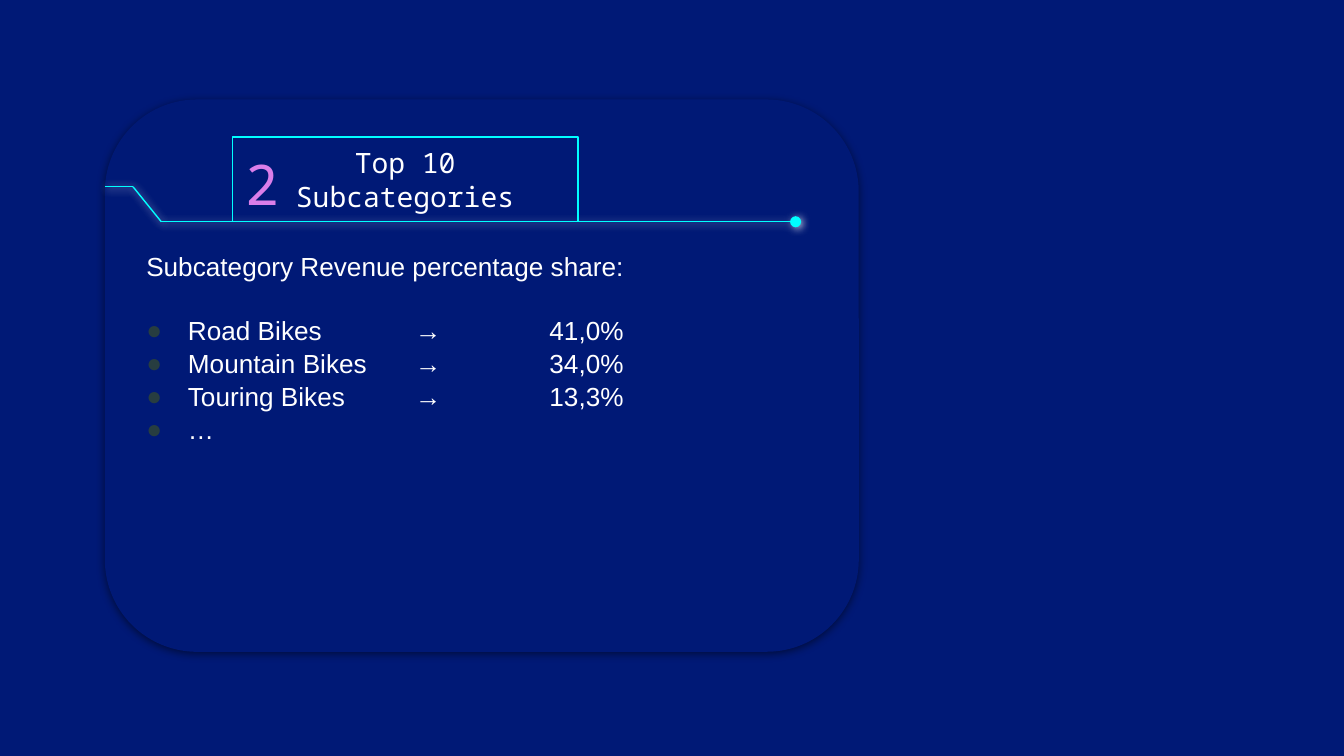
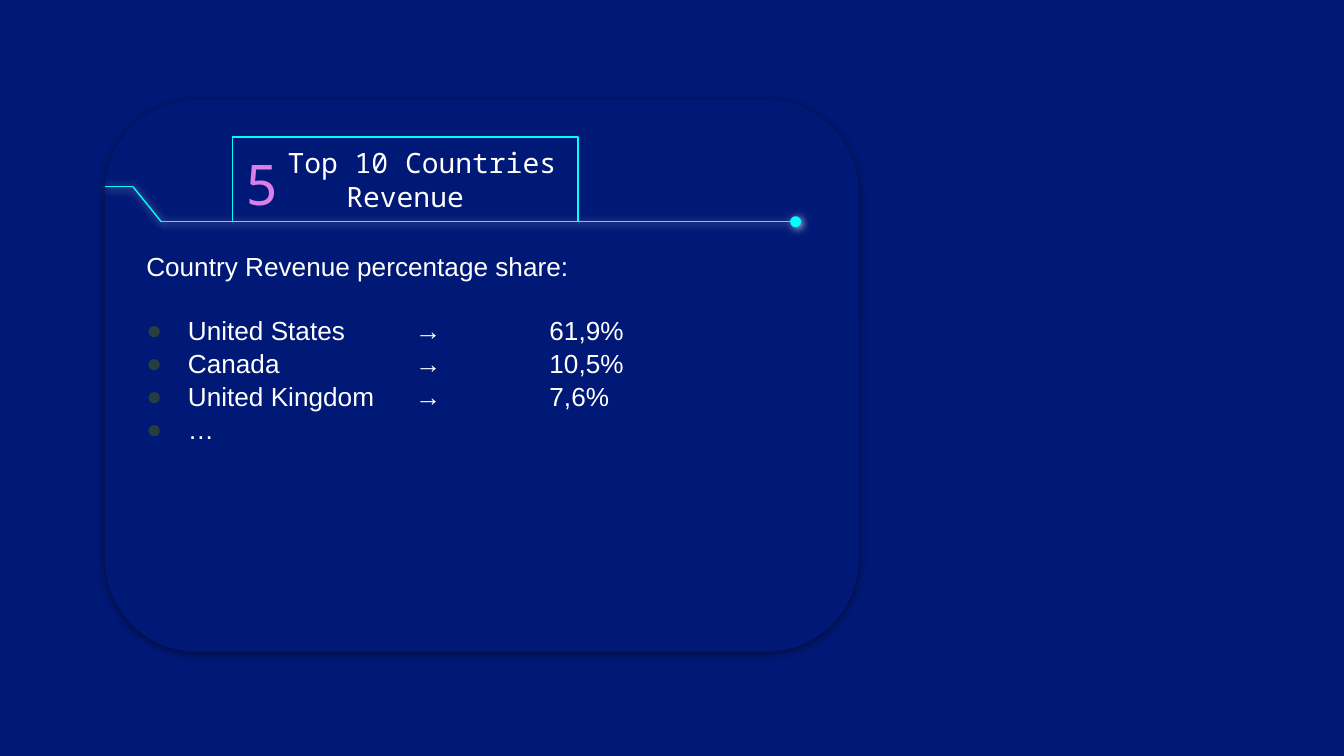
from itertools import pairwise

from lxml.etree import SubElement
from pptx import Presentation
from pptx.dml.color import RGBColor
from pptx.enum.shapes import MSO_CONNECTOR, MSO_SHAPE
from pptx.enum.text import MSO_ANCHOR, PP_ALIGN
from pptx.oxml.ns import qn
from pptx.util import Inches, Pt

NAVY = RGBColor(0x00, 0x19, 0x76)
CYAN = RGBColor(0x00, 0xFF, 0xFF)
PINK = RGBColor(0xDA, 0x7E, 0xE9)
WHITE = RGBColor(0xFF, 0xFF, 0xFF)
BLACK = RGBColor(0x00, 0x00, 0x00)
BULLET = RGBColor(0x27, 0x3D, 0x40)
BODY_FONT, TITLE_FONT = "Arial", "Noto Sans Mono"

# Grid of square cells, 100 columns across the slide
COLUMNS, ROWS = 100, 56.25
CELL = Inches(0.1)
CARD = (7.8, 7.4, 56.1, 41.1)
LINE_WIDTH = Pt(0.75)
MARGIN = Inches(0.1)
HANGING = Inches(0.31)
TAB_STOPS = (Inches(2), Inches(3))

# Number, title, first-line indent in inches, heading, shares
SLIDES = [
    ("2", "Top 10 Subcategories", 0, "Subcategory Revenue percentage share:",
     [("Road Bikes", "41,0%"), ("Mountain Bikes", "34,0%"), ("Touring Bikes", "13,3%")]),
    ("5", "Top 10 Countries Revenue", 0.25, "Country Revenue percentage share:",
     [("United States", "61,9%"), ("Canada", "10,5%"), ("United Kingdom", "7,6%")]),
]


def cells(*counts):
    return [round(count * CELL) for count in counts]


def inside(box, left, top, width, height):
    """Place a part relative to the top left corner of a box."""
    return box[0] + left, box[1] + top, width, height


def add_shadow(shape, color, opacity, blur, distance, angle):
    effects = SubElement(shape.element.spPr, qn("a:effectLst"))
    shadow = SubElement(effects, qn("a:outerShdw"), blurRad=str(Pt(blur)), dist=str(Pt(distance)),
                        dir=str(angle * 60000), algn="bl", rotWithShape="0")
    tint = SubElement(shadow, qn("a:srgbClr"), val=str(color))
    SubElement(tint, qn("a:alpha"), val=str(opacity * 1000))


def set_font(para, name, size, color):
    para.font.name, para.font.size = name, Pt(size)
    para.font.color.rgb = color


def set_margins(frame):
    frame.word_wrap = True
    frame.margin_left = frame.margin_right = MARGIN
    frame.margin_top = frame.margin_bottom = MARGIN


def add_panel(page, box, radius, fill=None, line=None):
    panel = page.shapes.add_shape(MSO_SHAPE.ROUNDED_RECTANGLE, *cells(*box))
    panel.adjustments[0] = radius
    if fill is None:
        panel.fill.background()
    else:
        panel.fill.solid()
        panel.fill.fore_color.rgb = fill
    if line is None:
        panel.line.fill.background()
    else:
        panel.line.color.rgb = line
        panel.line.width = LINE_WIDTH
    return panel


def add_label(page, box, text, size, color, line=None, indent=0):
    label = add_panel(page, box, 0, line=line)
    label.shadow.inherit = False
    frame = label.text_frame
    set_margins(frame)
    frame.vertical_anchor = MSO_ANCHOR.MIDDLE
    para = frame.paragraphs[0]
    para.text = text
    para.alignment = PP_ALIGN.CENTER
    if indent:
        para._p.get_or_add_pPr().set("indent", str(Inches(indent)))
    set_font(para, TITLE_FONT, size, color)


def add_circuit(page, box):
    """Stepped line under the title, ending in a dot."""
    group = page.shapes.add_group_shape()
    corners = [(0, 6.5), (2.1, 6.5), (4.2, 9.1), (51.4, 9.1)]
    points = [cells(box[0] + x, box[1] + y) for x, y in corners]
    for start, end in pairwise(points):
        wire = group.shapes.add_connector(MSO_CONNECTOR.STRAIGHT, *start, *end)
        wire.line.color.rgb = CYAN
        wire.line.width = LINE_WIDTH
        add_shadow(wire, WHITE, 75, 4.5, 0.8, 63)
    SubElement(wire.line._get_or_add_ln(), qn("a:tailEnd"), type="oval")


def add_bullet(para):
    props = para._p.get_or_add_pPr()
    props.set("marL", str(HANGING))
    props.set("indent", str(-HANGING))
    color = SubElement(props, qn("a:buClr"))
    SubElement(color, qn("a:srgbClr"), val=str(BULLET))
    SubElement(props, qn("a:buFont"), typeface=BODY_FONT)
    SubElement(props, qn("a:buChar"), char="●")
    stops = SubElement(props, qn("a:tabLst"))
    for stop in TAB_STOPS:
        SubElement(stops, qn("a:tab"), pos=str(stop), algn="l")


def add_shares(page, box, heading, shares):
    frame = page.shapes.add_textbox(*cells(*box)).text_frame
    set_margins(frame)
    items = [f"{name}\t→\t{share}" for name, share in shares] + ["…"]
    for index, text in enumerate([heading, *items]):
        para = frame.add_paragraph() if index else frame.paragraphs[0]
        para.text = text
        if index:
            add_bullet(para)
        if index == 1:
            para.space_before = Pt(17)
        para.line_spacing = 1.05
        set_font(para, BODY_FONT, 14, WHITE)


def add_card_slide(deck, box, number, title, indent, heading, shares):
    page = deck.slides.add_slide(deck.slide_layouts[6])
    page.background.fill.solid()
    page.background.fill.fore_color.rgb = NAVY
    # Card and its text
    card = add_panel(page, box, 0.167, fill=NAVY)
    add_shadow(card, BLACK, 50, 4.5, 1.5, 90)
    add_shares(page, inside(box, 2.1, 10.1, 51.4, 29.3), heading, shares)
    # Title band
    add_circuit(page, box)
    add_label(page, inside(box, 8.1, 2.6, 7.3, 7.3), number, 30, PINK)
    add_label(page, inside(box, 9.5, 2.8, 25.7, 6.3), title, 15, WHITE, CYAN, indent)


def main():
    deck = Presentation()
    deck.slide_width, deck.slide_height = cells(COLUMNS, ROWS)
    for content in SLIDES:
        add_card_slide(deck, CARD, *content)
    deck.save("out.pptx")


if __name__ == "__main__":
    main()
